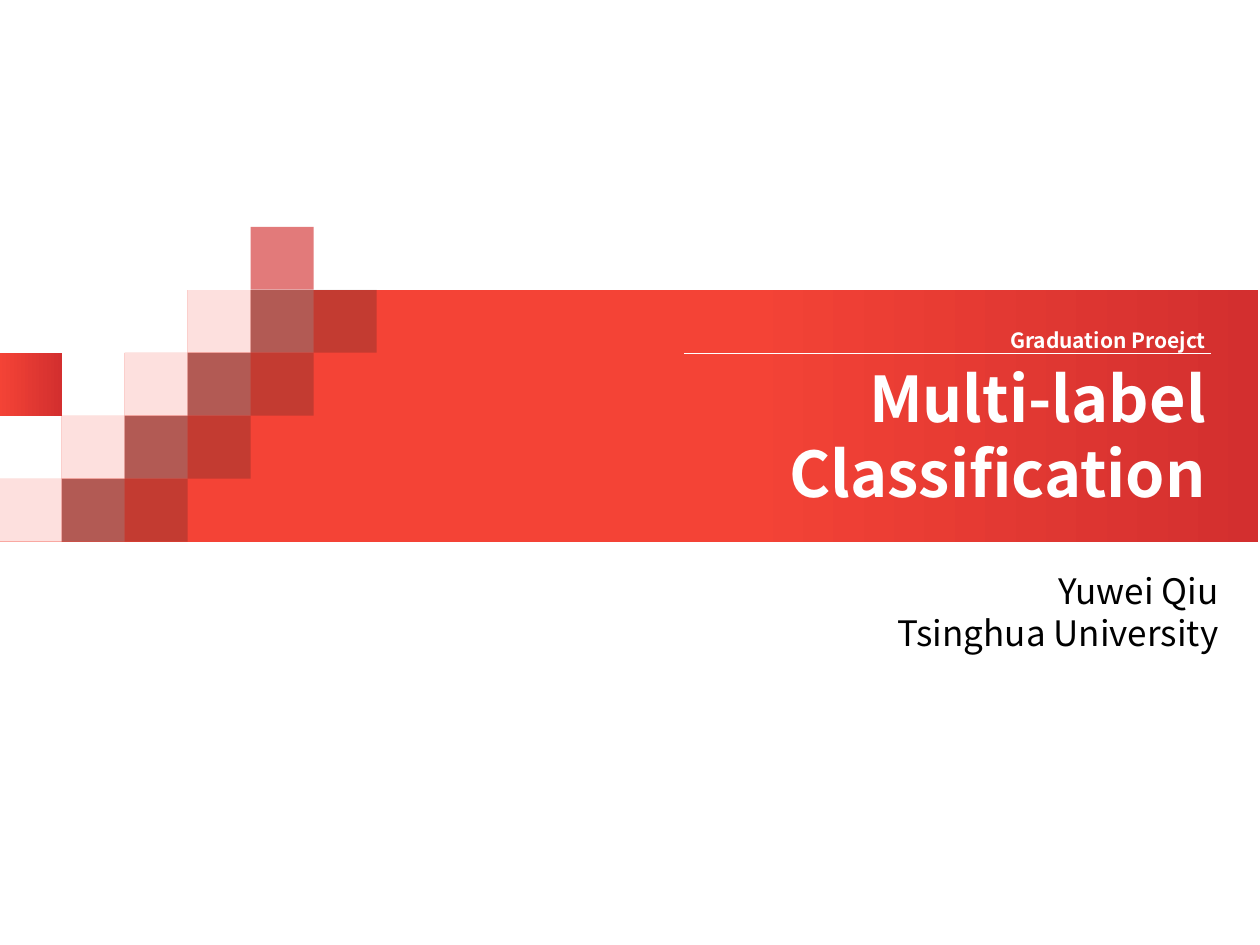
import pptx
import pptx.util
import pptx.dml.color
import pptx.enum.shapes
import pptx.enum.text
import pptx.oxml.ns
import lxml.etree

PX = 9144  # EMU per px, 100 px to the inch
CELL = 50
LEFT, TOP = -1, 180  # corner of the pixel grid

RED, DARK_RED, WHITE = "F44336", "D32F2F", "FFFFFF"
SHADE, GREY = "212122", "727272"


def rgb(color):
    return pptx.dml.color.RGBColor.from_string(color)


def write(sp, lines, size, font, color, bold):
    """Set right-aligned lines of text in a shape that grows with its text."""
    tf = sp.text_frame
    tf.word_wrap = True
    tf.auto_size = pptx.enum.text.MSO_AUTO_SIZE.SHAPE_TO_FIT_TEXT
    tf.vertical_anchor = pptx.enum.text.MSO_ANCHOR.TOP
    for i, line in enumerate(lines):
        p = tf.add_paragraph() if i else tf.paragraphs[0]
        p.alignment = pptx.enum.text.PP_ALIGN.RIGHT
        r = p.add_run()
        r.text = line
        r.font.name = font
        r.font.size = pptx.util.Pt(size)
        r.font.bold = bold
        r.font.color.rgb = rgb(color)


prs = pptx.Presentation()
prs.slide_width, prs.slide_height = 1000 * PX, 750 * PX
s = prs.slides.add_slide(prs.slide_layouts[5])

# Stepped band
outline = [(149, 230), (999, 230), (999, 430), (-1, 430), (-1, 380),
           (49, 380), (49, 330), (99, 330), (99, 280), (149, 280)]
builder = s.shapes.build_freeform(*outline[0], scale=PX)
builder.add_line_segments(outline[1:], close=True)
band = builder.convert_to_shape()

# Grid cells: column, row, colour, opacity in percent
cells = [(4, 0, DARK_RED, 64)]
for row in range(1, 5):
    if row < 4:
        cells.append((4 - row, row, WHITE, 84))
    cells.append((5 - row, row, GREY, 50))
    cells.append((6 - row, row, SHADE, 23))
cells.append((0, 4, WHITE, 84))

for col, row, color, opacity in cells:
    sp = s.shapes.add_shape(pptx.enum.shapes.MSO_SHAPE.RECTANGLE,
                            (LEFT + col * CELL) * PX, (TOP + row * CELL) * PX,
                            CELL * PX, CELL * PX)
    sp.shadow.inherit = False
    sp.line.fill.background()
    sp.fill.solid()
    sp.fill.fore_color.rgb = rgb(color)
    clr = sp.fill._xPr.find(".//" + pptx.oxml.ns.qn("a:srgbClr"))
    alpha = lxml.etree.SubElement(clr, pptx.oxml.ns.qn("a:alpha"))
    alpha.set("val", str(opacity * 1000))

lone_cell = s.shapes.add_shape(pptx.enum.shapes.MSO_SHAPE.RECTANGLE,
                               LEFT * PX, (TOP + 2 * CELL) * PX,
                               CELL * PX, CELL * PX)

for sp, start in [(band, 0.59), (lone_cell, 0)]:
    sp.shadow.inherit = False
    sp.line.fill.background()
    sp.fill.gradient()
    sp.fill.gradient_angle = 0
    for stop, position, color in zip(sp.fill.gradient_stops, (start, 1),
                                     (RED, DARK_RED)):
        stop.position = position
        stop.color.rgb = rgb(color)

# Title, brought in front of the band
title = s.shapes.title
title.left, title.top = 499 * PX, 280 * PX
title.width, title.height = 468 * PX, 131 * PX
write(title, ["Multi-label Classification"], 36, "Noto Sans CJK SC", WHITE, True)
s.shapes._spTree.append(title._element)

subject = s.shapes.add_textbox(527 * PX, 255 * PX, 440 * PX, 30 * PX)
write(subject, ["Graduation Proejct"], 12, "Noto Sans CJK SC", WHITE, True)

rule = s.shapes.add_connector(pptx.enum.shapes.MSO_CONNECTOR.STRAIGHT,
                              543 * PX, 280 * PX, 961 * PX, 280 * PX)
rule.line.color.rgb = rgb(WHITE)
rule.line.width = pptx.util.Pt(0.25)
lxml.etree.SubElement(rule._element.spPr, pptx.oxml.ns.qn("a:effectLst"))

author = s.shapes.add_textbox(625 * PX, 447 * PX, 352 * PX, 77 * PX)
write(author, ["Yuwei Qiu", "Tsinghua University"], 20, "Noto Sans CJK JP",
      "000000", False)

prs.save("out.pptx")
